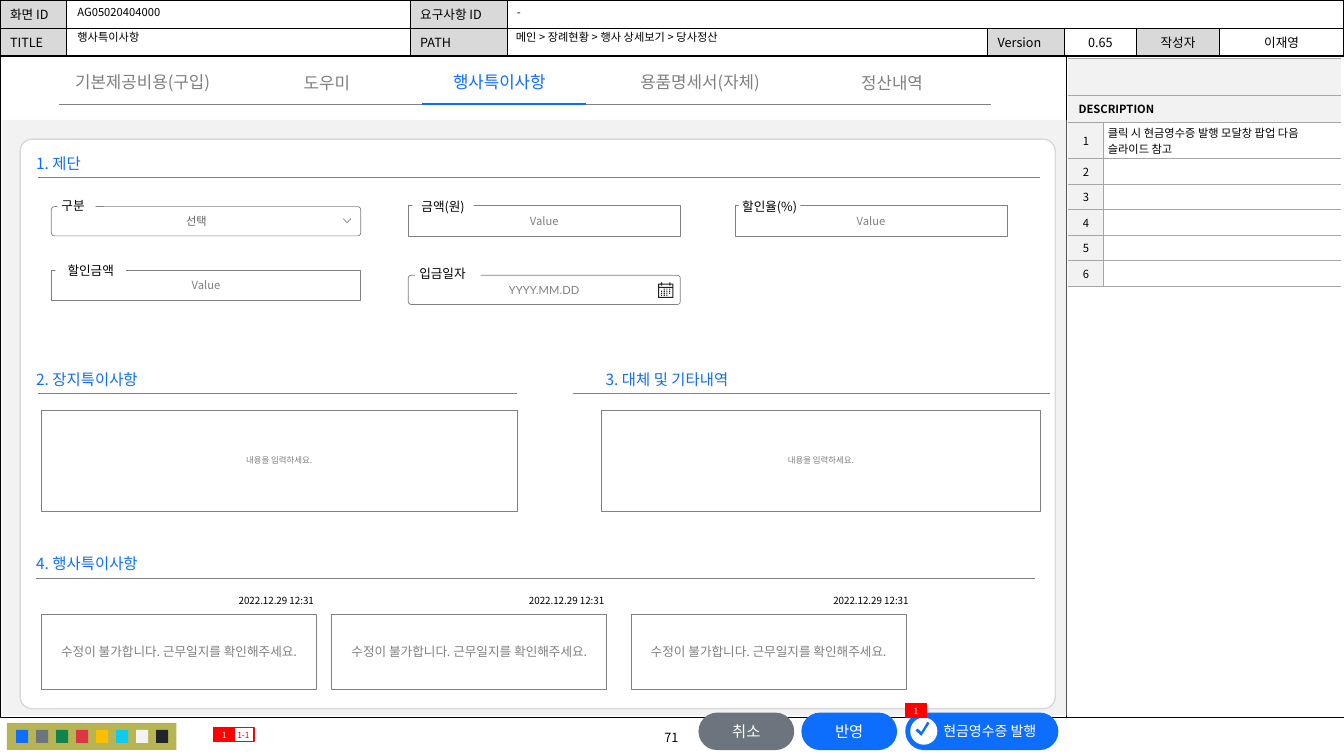
import pptx
import pptx.dml.color
import pptx.enum.shapes
import pptx.enum.text
import pptx.oxml
import pptx.oxml.ns
import pptx.util
from lxml import etree

Pt = pptx.util.Pt
SHAPES = pptx.enum.shapes.MSO_SHAPE
ALIGN = pptx.enum.text.PP_ALIGN
ANCHOR = pptx.enum.text.MSO_ANCHOR
KOREAN = "Noto Sans CJK KR"
LATIN = "Lato"
COLORS = {
    "black": "000000", "white": "FFFFFF", "header": "D9D9D9", "panel": "F2F2F2",
    "rule": "A6A6A6", "gray": "808080", "choice": "5F5F5F", "icon": "1F1F1F",
    "blue": "0D6EFD", "slate": "6C757D", "green": "10834E", "crimson": "DC3545",
    "amber": "FFBE00", "cyan": "0DCAF0", "ink": "212529", "olive": "B7B553", "red": "FF0000",
}


def rgb(color):
    return pptx.dml.color.RGBColor.from_string(COLORS[color])


def apply(target, values):
    for name, value in values.items():
        setattr(target, name, value)


def margins(left, top, right, bottom):
    sides = ("left", "top", "right", "bottom")
    return {f"margin_{side}": Pt(size) for side, size in zip(sides, (left, top, right, bottom))}


def write(frame, text, size, color, align=ALIGN.CENTER, font=KOREAN, bold=False):
    paragraph = frame.paragraphs[0]
    paragraph.alignment = align
    run = paragraph.add_run()
    run.text = text
    apply(run.font, {"size": Pt(size), "bold": bold, "name": font})
    run.font.color.rgb = rgb(color)
    east_asian = etree.SubElement(run._r.get_or_add_rPr(), pptx.oxml.ns.qn("a:ea"))
    east_asian.set("typeface", KOREAN)
    return paragraph


def paint(shape, fill=None, line=None, width=0.5):
    shape.shadow.inherit = False
    if fill:
        shape.fill.solid()
        shape.fill.fore_color.rgb = rgb(fill)
    else:
        shape.fill.background()
    if line:
        shape.line.color.rgb = rgb(line)
        shape.line.width = Pt(width)
    else:
        shape.line.fill.background()


def block(slide, box, fill=None, line=None, width=0.5, kind=SHAPES.RECTANGLE, corner=None,
          text="", size=9, color="gray", inset=(7.2, 3.6, 7.2, 3.6), anchor=ANCHOR.MIDDLE, **style):
    shape = slide.shapes.add_shape(kind, *map(Pt, box))
    paint(shape, fill, line, width)
    if corner is not None:
        shape.adjustments[0] = corner
    if text:
        apply(shape.text_frame, {"word_wrap": True, "vertical_anchor": anchor, **margins(*inset)})
        write(shape.text_frame, text, size, color, **style)


def label(slide, box, text, size, color, align=ALIGN.LEFT, wrap=False, anchor=ANCHOR.TOP, spacing=None):
    frame = slide.shapes.add_textbox(*map(Pt, box)).text_frame
    apply(frame, {"word_wrap": wrap, "vertical_anchor": anchor})
    write(frame, text, size, color, align).line_spacing = spacing


def rule(slide, start, end, color, width):
    connector = slide.shapes.add_connector(
        pptx.enum.shapes.MSO_CONNECTOR.STRAIGHT, *map(Pt, start + end))
    connector.line.color.rgb = rgb(color)
    connector.line.width = Pt(width)
    etree.SubElement(connector._element.spPr, pptx.oxml.ns.qn("a:effectLst"))


def outline(slide, contours, fill=None, line=None, close=True):
    contours = [[(Pt(x), Pt(y)) for x, y in contour] for contour in contours]
    builder = slide.shapes.build_freeform(*contours[0][0], scale=1.0)
    for index, contour in enumerate(contours):
        if index:
            builder.move_to(*contour[0])
        builder.add_line_segments(contour[1:], close=close)
    paint(builder.convert_to_shape(), fill, line)


def calendar(slide, left, top):
    parts = [(0, 0.8, 10.8, 10.2), (0.7, 1.5, 9.4, 1.6), (0.7, 3.8, 9.4, 6.5)]
    parts += [(x, y, 0.8, 0.8) for x in (2, 8) for y in (0, 1.5)]
    parts += [(2.1 + 1.9 * column, 4.4 + 1.45 * row, 0.8, 0.8)
              for row in range(4) for column in range(4) if (row, column) not in ((0, 0), (3, 3))]
    outline(slide, [[(left + x, top + y), (left + x + w, top + y),
                     (left + x + w, top + y + h), (left + x, top + y + h)]
                    for x, y, w, h in parts], "icon")


def grid(slide, left, top, widths, heights):
    table = slide.shapes.add_table(len(heights), len(widths), Pt(left), Pt(top),
                                   Pt(sum(widths)), Pt(sum(heights))).table
    apply(table, {"first_row": False, "horz_banding": False})
    for column, width in zip(table.columns, widths):
        column.width = Pt(width)
    for row, height in zip(table.rows, heights):
        row.height = Pt(height)
    return table


def cell_format(cell, fill, line, sides="LRTB", inset=(7.2, 2, 7.2, 2)):
    apply(cell, {"vertical_anchor": ANCHOR.MIDDLE, **margins(*inset)})
    namespace = pptx.oxml.ns.nsdecls("a")
    for side in "LRTB":
        paint_xml = (f'<a:solidFill><a:srgbClr val="{COLORS[line]}"/></a:solidFill>'
                     if side in sides else "<a:noFill/>")
        cell._tc.get_or_add_tcPr().append(pptx.oxml.parse_xml(
            f'<a:ln{side} {namespace} w="6350">{paint_xml}</a:ln{side}>'))
    cell.fill.solid()
    cell.fill.fore_color.rgb = rgb(fill)
    cell.text_frame.paragraphs[0]._p.get_or_add_endParaRPr().set("sz", "800")


def document_header(slide):
    table = grid(slide, 0, 0, [47.5, 245.5, 69.1, 343.4, 54.7, 51.8, 59, 89], [20.2, 20.2])
    entries = [["화면 ID", "", "요구사항 ID"] + [""] * 5,
               ["TITLE", "", "PATH", "", "Version", "0.65", "작성자", "이재영"]]
    for row, texts in enumerate(entries):
        for column, text in enumerate(texts):
            cell = table.cell(row, column)
            shaded = text and column in (0, 2, 4, 6)
            cell_format(cell, "header" if shaded else "white", "black")
            if text:
                write(cell.text_frame, text, 9, "black", ALIGN.CENTER if column > 4 else ALIGN.LEFT)
    table.cell(0, 3).merge(table.cell(0, 7))


def description(slide):
    table = grid(slide, 763.2, 41.6, [25.2, 169.2], [26.6, 19.3, 25.7] + [18.3] * 5)
    notes = {1: "클릭 시 현금영수증 발행 모달창 팝업 다음 슬라이드 참고"}
    for row in range(8):
        number, note = table.cell(row, 0), table.cell(row, 1)
        cell_format(number, "panel", "rule", "TB" if row < 2 else "RTB",
                    (7.2, 2, 7.2, 2) if row < 2 else (0, 0, 0, 0))
        cell_format(note, "panel" if row < 2 else "white", "rule", "TB" if row < 2 else "LTB",
                    (2.9, 1, 2.9, 1))
        if row < 2:
            number.merge(note)
        else:
            write(number.text_frame, str(row - 1), 8, "black")
        if row - 1 in notes:
            write(note.text_frame, notes[row - 1], 8, "black", ALIGN.LEFT)
    write(table.cell(1, 0).text_frame, "DESCRIPTION", 8, "black", ALIGN.LEFT, bold=True)


def field(slide, box, value, caption, caption_box, rounded=False, inset=(7.2, 3.6, 7.2, 3.6), **style):
    kind = SHAPES.ROUNDED_RECTANGLE if rounded else SHAPES.RECTANGLE
    block(slide, box, "white", "gray", kind=kind, corner=0.108 if rounded else None,
          text=value, size=8, inset=inset, **style)
    block(slide, caption_box, "white", text=caption, color="black", anchor=ANCHOR.TOP,
          inset=(2.9 if rounded else 0, 0, 0, 0), align=ALIGN.LEFT if rounded else ALIGN.CENTER)


def marker(slide, left, top, text, filled=True):
    block(slide, (left, top, 15.1, 10.1), "red" if filled else None, "red", 1, text=text, size=6,
          color="white" if filled else "red", inset=(0, 0, 0, 0))


def button(slide, left, width, fill, text=""):
    block(slide, (left, 509, width, 26.8), fill, kind=SHAPES.ROUNDED_RECTANGLE, corner=0.5,
          text=text, size=11, color="white")


def main():
    deck = pptx.Presentation()
    apply(deck, {"slide_width": Pt(960), "slide_height": Pt(540)})
    slide = deck.slides.add_slide(deck.slide_layouts[6])

    document_header(slide)
    block(slide, (0, 39.8, 960, 472.3), line="black", width=0.25)
    label(slide, (386.6, 517.7, 185.8, 18), "71", 9, "black", ALIGN.CENTER, True, ANCHOR.MIDDLE)
    rule(slide, (761.8, 40.3), (761.8, 512), "black", 0.5)
    block(slide, (5, 516.3, 121, 19.4), "olive")
    for index, swatch in enumerate(("blue", "slate", "green", "crimson", "amber", "cyan", "panel", "ink")):
        block(slide, (11.5 + 14.3 * index, 521.3, 8.6, 9.4), swatch)
    block(slide, (1.4, 85.7, 760.4, 425.6), "panel")
    description(slide)
    for box, text in (((362.2, 0.7, 590, 16.6), "-"), ((48.2, 0.7, 244.8, 16.6), "AG05020404000"),
                      ((48.2, 20.2, 243.4, 14.4), "행사특이사항"),
                      ((361.4, 18.7, 341.3, 16.6), "메인 > 장례현황 > 행사 상세보기 > 당사정산")):
        label(slide, box, text, 8, "black", wrap=True, anchor=ANCHOR.MIDDLE, spacing=0.9)
    marker(slide, 166.3, 519.8, "1-1", False)
    marker(slide, 152.6, 519.8, "1")

    block(slide, (14.4, 99.4, 739.4, 406.8), "white", "header", 1,
          kind=SHAPES.ROUNDED_RECTANGLE, corner=0.021)
    for left, top, width, text, start, end in (
            (18.7, 106.6, 50.4, "1. 제단", 27.4, 743),
            (18.7, 260.6, 95, "2. 장지특이사항", 27.4, 369.4),
            (425.5, 260.6, 117.4, "3. 대체 및 기타내역", 409, 750.2),
            (18.7, 392.4, 95, "4. 행사특이사항", 26, 739.4)):
        label(slide, (left, top, width, 20.9), text, 11, "blue")
        rule(slide, (start, top + 20.4), (end, top + 20.4), "gray", 0.5)

    field(slide, (291.6, 146.9, 194.4, 21.8), "Value", "금액(원)", (294.5, 141.8, 43.9, 10.8))
    field(slide, (525, 146.9, 194.4, 21.8), "Value", "할인율(%)", (527.8, 141.8, 43.9, 10.8))
    field(slide, (36.7, 193, 221, 21.6), "Value", "할인금액", (39.6, 187.9, 50.4, 10.8))
    field(slide, (36.7, 147.6, 221, 20.9), "선택", "구분", (41, 141.1, 27.4, 10.8), True,
          (7.9, 3.6, 21.6, 3.6), font=LATIN, color="choice")
    outline(slide, [[(250.6, 156.2), (247.9, 159.1), (245.2, 156.2)]], line="gray", close=False)
    field(slide, (291.6, 196.6, 194.4, 20.9), "YYYY.MM.DD", "입금일자", (296.6, 190.1, 46.8, 10.8),
          True, font=LATIN)
    calendar(slide, 470.1, 201.8)

    for left, width in ((29.5, 339.8), (429.8, 313.2)):
        block(slide, (left, 293, width, 72), "white", "gray", text="내용을 입력하세요.", size=6)
    for left, date_left in ((29.5, 163.4), (236.9, 370.8), (450.7, 588.2)):
        block(slide, (left, 438.5, 196.6, 54), "white", "gray",
              text="수정이 불가합니다. 근무일지를 확인해주세요.")
        label(slide, (date_left, 421.2, 69.1, 15.8), "2022.12.29 12:31", 7, "black")

    for left, top, width, tab, color in (
            (41.8, 47.5, 120.2, "기본제공비용(구입)", "gray"), (208, 48.2, 51, "도우미", "gray"),
            (313.2, 47.5, 87, "행사특이사항", "blue"), (445.7, 47.5, 108.7, "용품명세서(자체)", "gray"),
            (605.5, 48.2, 63.4, "정산내역", "gray")):
        label(slide, (left, top, width, 21.6), tab, 12, color, ALIGN.CENTER)
    rule(slide, (42.5, 74.2), (707.8, 74.2), "gray", 0.25)
    rule(slide, (301.7, 74.2), (418.3, 74.2), "blue", 1.5)

    button(slide, 572.4, 68.4, "blue", "반영")
    button(slide, 498.9, 68.4, "slate", "취소")
    button(slide, 646.6, 109.4, "blue")
    label(slide, (666.7, 512.6, 89.3, 19.4), "현금영수증 발행", 10, "white", wrap=True)
    block(slide, (650.2, 512.6, 19.4, 19.4), "white", kind=SHAPES.OVAL)
    outline(slide, [[(664, 516.5), (662.4, 515.6), (658.2, 522.8), (655.5, 520.4),
                     (653.9, 521.7), (658.2, 525.6)]], "blue")
    marker(slide, 646.6, 502.6, "1")
    deck.save("out.pptx")


if __name__ == "__main__":
    main()
